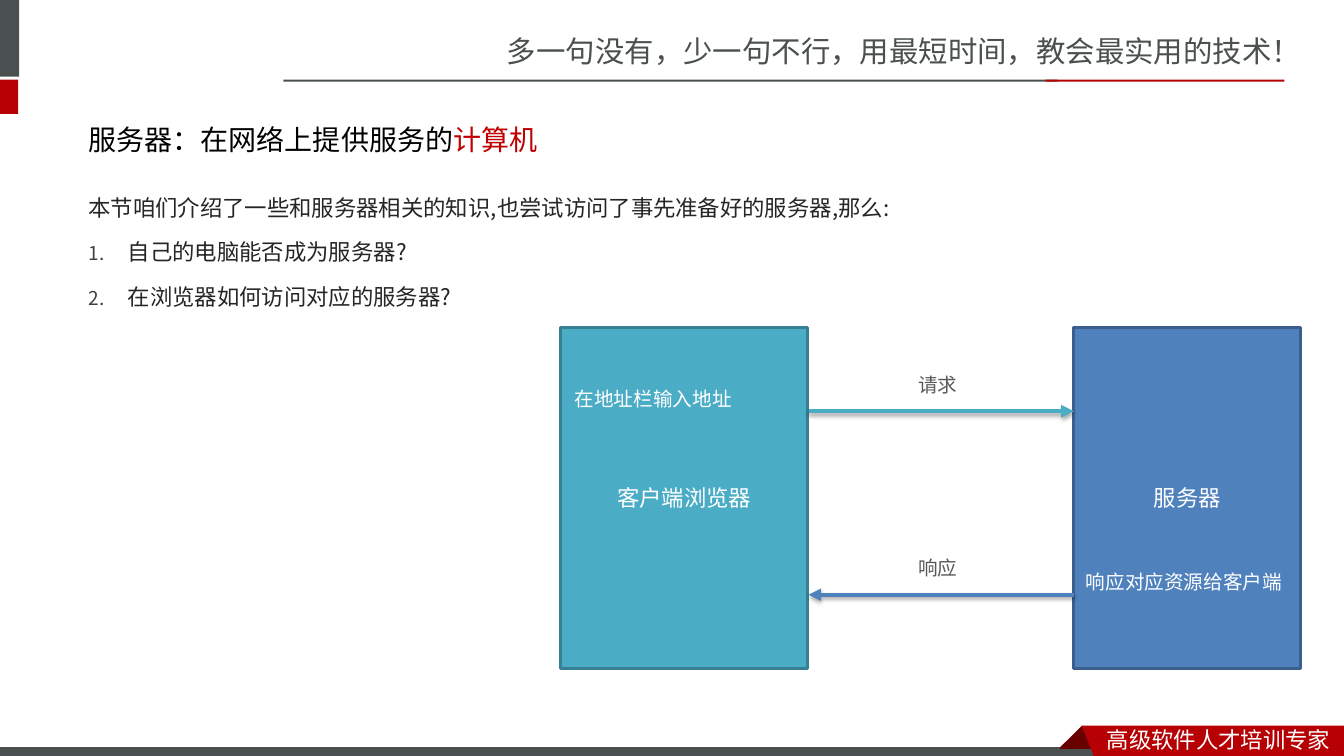
import pptx
import pptx.util
import pptx.dml.color
import pptx.enum.shapes
import pptx.enum.text
import pptx.oxml
import pptx.oxml.ns
from dataclasses import dataclass
from lxml import etree

Inches = pptx.util.Inches
Pt = pptx.util.Pt
RGB = pptx.dml.color.RGBColor.from_string
RECT = pptx.enum.shapes.MSO_SHAPE.RECTANGLE
MIDDLE = pptx.enum.text.MSO_ANCHOR.MIDDLE
CENTER = pptx.enum.text.PP_ALIGN.CENTER
qn = pptx.oxml.ns.qn


@dataclass(frozen=True)
class Theme:
    grey: str = "49504F"
    red: str = "B60004"
    dark_red: str = "680000"
    accent: str = "C00000"
    white: str = "FFFFFF"
    black: str = "000000"
    body: str = "262626"
    number: str = "404040"
    label: str = "595959"
    teal: str = "4BACC6"
    teal_edge: str = "377F92"
    blue: str = "4F81BD"
    blue_edge: str = "3A5F8C"
    slogan_pt: int = 21
    title_pt: int = 20
    body_pt: int = 16
    label_pt: int = 14
    sc: str = "Noto Sans CJK SC"
    jp: str = "Noto Sans CJK JP"
    latin: str = "Arial"


theme = Theme()


def add_run(p, text, size, color, font):
    r = p.add_run()
    r.text = text
    r.font.size = Pt(size)
    r.font.color.rgb = RGB(color)
    r.font.name = font
    east_asian = etree.SubElement(r.font._element, qn("a:ea"))
    east_asian.set("typeface", theme.sc if font == theme.latin else font)


def paint(sp, fill, line=None, width=0):
    sp.shadow.inherit = False
    sp.fill.solid()
    sp.fill.fore_color.rgb = RGB(fill)
    if line:
        sp.line.color.rgb = RGB(line)
        sp.line.width = Pt(width)
    else:
        sp.line.fill.background()


prs = pptx.Presentation()
prs.slide_width, prs.slide_height = Inches(13.33), Inches(7.5)
s = prs.slides.add_slide(prs.slide_layouts[6])

# Header bars and rules, footer bar
for x, y, w, h, fill, line in [
    (-0.06, 0, 0.25, 0.76, theme.grey, None),
    (-0.06, 0.79, 0.24, 0.34, theme.red, None),
    (2.81, 0.79, 7.68, 0.02, theme.grey, None),
    (10.37, 0.79, 2.37, 0.02, theme.red, None),
    (-0.01, 7.41, 11, 0.12, theme.grey, theme.white),
]:
    sp = s.shapes.add_shape(RECT, Inches(x), Inches(y), Inches(w), Inches(h))
    paint(sp, fill, line, 0.75)

# Footer ribbon with its fold
for fill, points in [
    (theme.dark_red, [(10.73, 7.2), (10.95, 7.42), (10.94, 7.43), (10.52, 7.43), (10.51, 7.42)]),
    (theme.red, [(10.73, 7.2), (13.33, 7.2), (13.33, 7.54), (10.86, 7.53)]),
]:
    outline = [(Inches(x), Inches(y)) for x, y in points]
    builder = s.shapes.build_freeform(*outline[0])
    builder.add_line_segments(outline[1:], close=True)
    paint(builder.convert_to_shape(), fill)

# Client and server boxes
for x, w, text, fill, edge in [
    (10.65, 2.25, "服务器", theme.blue, theme.blue_edge),
    (5.56, 2.45, "客户端浏览器", theme.teal, theme.teal_edge),
]:
    sp = s.shapes.add_shape(RECT, Inches(x), Inches(3.25), Inches(w), Inches(3.38))
    paint(sp, fill, edge, 2)
    sp.text_frame.vertical_anchor = MIDDLE
    p = sp.text_frame.paragraphs[0]
    p.alignment = CENTER
    add_run(p, text, theme.body_pt, theme.white, theme.jp)

# Request and response arrows
for x1, x2, y, color in [(8.02, 10.65, 4.08, theme.teal), (10.65, 8.02, 5.9, theme.blue)]:
    arrow = s.shapes.add_connector(
        pptx.enum.shapes.MSO_CONNECTOR.STRAIGHT, Inches(x1), Inches(y), Inches(x2), Inches(y))
    arrow.line.color.rgb = RGB(color)
    arrow.line.width = Pt(3)
    etree.SubElement(arrow.line._get_or_add_ln(), qn("a:tailEnd")).set("type", "triangle")
    effects = etree.SubElement(arrow._element.spPr, qn("a:effectLst"))
    shadow = etree.SubElement(effects, qn("a:outerShdw"), blurRad=str(Pt(3.1)),
                              dist=str(Pt(1.8)), dir="5400000", rotWithShape="0")
    shade = etree.SubElement(shadow, qn("a:srgbClr"), val=theme.black)
    etree.SubElement(shade, qn("a:alpha"), val="35000")

# Single-line texts: slogan, footer, title and diagram labels
for x, y, w, h, anchor, runs, size, font in [
    (4.93, 0.28, 8.41, 0.47, None,
     [("多一句没有，少一句不行，用最短时间，教会最实用的技术！", theme.grey)], theme.slogan_pt, theme.sc),
    (10.88, 7.15, 2.45, 0.37, None,
     [("高级软件人才培训专家", theme.white)], theme.body_pt, theme.sc),
    (0.78, 1.1, 11.72, 0.57, MIDDLE,
     [("服务器：在网络上提供服务的", theme.black), ("计算机", theme.accent)], theme.title_pt, theme.latin),
    (9.01, 3.65, 0.66, 0.34, None, [("请求", theme.label)], theme.label_pt, theme.jp),
    (9.01, 5.47, 0.66, 0.34, None, [("响应", theme.label)], theme.label_pt, theme.jp),
    (5.6, 3.79, 2.38, 0.34, None, [("在地址栏输入地址", theme.white)], theme.label_pt, theme.jp),
    (10.67, 5.61, 2.25, 0.34, None, [("响应对应资源给客户端", theme.white)], theme.label_pt, theme.jp),
]:
    tf = s.shapes.add_textbox(Inches(x), Inches(y), Inches(w), Inches(h)).text_frame
    tf.word_wrap = True
    tf.vertical_anchor = anchor
    for text, color in runs:
        add_run(tf.paragraphs[0], text, size, color, font)

# Body: introduction and numbered questions
tf = s.shapes.add_textbox(Inches(0.78), Inches(1.74), Inches(11.72), Inches(4.98)).text_frame
tf.word_wrap = True
for i, text in enumerate([
    "本节咱们介绍了一些和服务器相关的知识,也尝试访问了事先准备好的服务器,那么:",
    "自己的电脑能否成为服务器?",
    "在浏览器如何访问对应的服务器?",
]):
    p = tf.add_paragraph() if i else tf.paragraphs[0]
    p.line_spacing = 1.5
    if i:
        p.space_before = Pt(3.2)
        pPr = p._p.get_or_add_pPr()
        pPr.set("marL", str(Inches(0.39)))
        pPr.set("indent", str(-Inches(0.39)))
        number_color = etree.SubElement(pPr, qn("a:buClr"))
        etree.SubElement(number_color, qn("a:srgbClr"), val=theme.number)
        etree.SubElement(pPr, qn("a:buSzPct"), val="85000")
        etree.SubElement(pPr, qn("a:buFont"), typeface=theme.jp)
        etree.SubElement(pPr, qn("a:buAutoNum"), type="arabicPeriod")
    add_run(p, text, theme.body_pt, theme.body, theme.jp)

prs.save("out.pptx")
